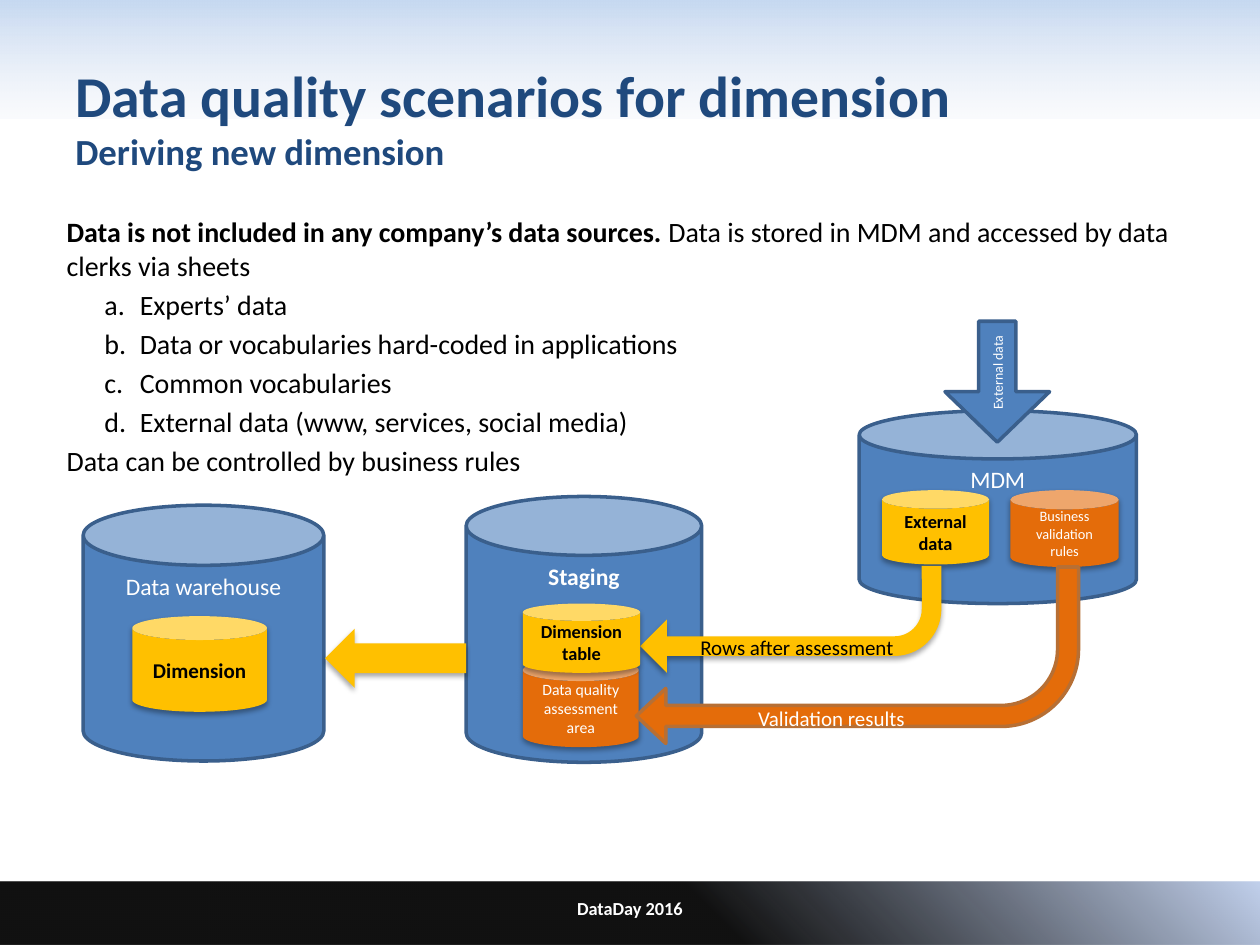
from lxml import etree
from pptx import Presentation
from pptx import util as u
from pptx.dml import color
from pptx.enum import shapes, text
from pptx.oxml import ns

Pt = u.Pt
KIND = shapes.MSO_SHAPE
MID = text.MSO_ANCHOR.MIDDLE
TOP = text.MSO_ANCHOR.TOP
LEFT = text.PP_ALIGN.LEFT
MAIN = text.PP_ALIGN.CENTER
BLUE, EDGE, GOLD, RUST = "4F81BD", "3A5F8C", "FFC000", "E46C0A"
NAVY, BLACK, WHITE = "1F497D", "000000", "FFFFFF"


def rgb(code):
    """Turn a hex string into a colour."""
    return color.RGBColor.from_string(code)


def put(item, **vals):
    """Set each given attribute on an item."""
    for name, val in vals.items():
        setattr(item, name, val)


def sub(node, tag, **vals):
    """Append an XML child that holds the given attributes."""
    child = etree.SubElement(node, ns.qn(tag))
    for name, val in vals.items():
        child.set(name, str(val))
    return child


def tint(node, code, alpha):
    """Append a colour with an opacity in percent."""
    sub(sub(node, "a:srgbClr", val=code), "a:alpha", val=alpha * 1000)


def run(para, words, size, code, bold=False):
    """Add one styled run to a paragraph."""
    part = para.add_run()
    part.text = words
    put(part.font, name="Calibri", size=Pt(size), bold=bold)
    part.font.color.rgb = rgb(code)


def say(shape, lines, size, code, bold=False, align=MAIN, anchor=MID):
    """Write lines of text in one style."""
    frame = shape.text_frame
    put(frame, word_wrap=True, vertical_anchor=anchor)
    for i, line in enumerate(lines):
        para = frame.paragraphs[0] if i == 0 else frame.add_paragraph()
        para.alignment = align
        run(para, line, size, code, bold)


def form(slide, kind, box, fill, edge=None, cast=False, adj=(), turn=0):
    """Add a preset shape with its fill, line and shadow."""
    shape = slide.shapes.add_shape(kind, *map(Pt, box))
    put(shape, rotation=turn)
    shape.shadow.inherit = False
    shape.fill.solid()
    shape.fill.fore_color.rgb = rgb(fill)
    if edge:
        shape.line.color.rgb = rgb(edge)
        shape.line.width = Pt(2)
    else:
        shape.line.fill.background()
    for i, val in enumerate(adj):
        shape.adjustments[i] = val
    if cast:
        glow = shape.element.spPr.find(ns.qn("a:effectLst"))
        drop = sub(glow, "a:outerShdw", blurRad=Pt(3.1), dist=Pt(1.8),
                   dir=5400000, rotWithShape=0)
        tint(drop, BLACK, 35)
    return shape


def note(slide, box, *args, **style):
    """Add a text box with lines in one style."""
    shape = slide.shapes.add_textbox(*map(Pt, box))
    say(shape, *args, **style)
    return shape


def band(slide, box, stops, angle):
    """Add a bar with a gradient fill."""
    shape = form(slide, KIND.RECTANGLE, box, WHITE)
    old = shape.element.spPr.find(ns.qn("a:solidFill"))
    grad = etree.Element(ns.qn("a:gradFill"), rotWithShape="1")
    row = sub(grad, "a:gsLst")
    for pos, code, alpha in stops:
        tint(sub(row, "a:gs", pos=pos * 1000), code, alpha)
    sub(grad, "a:lin", ang=angle * 60000, scaled=0)
    old.getparent().replace(old, grad)


def head(slide, x, y, w, h):
    """Place the top band and the title."""
    band(slide, (x, y, w, 68), [(0, "C6D9F1", 100), (100, "E1E8F5", 16)], 90)
    box = note(slide, (x + 36, y + 21.6, w - 72, h - 21.6),
               ["Data quality scenarios for dimension"], 33, NAVY,
               bold=True, align=LEFT)
    para = box.text_frame.paragraphs[0]
    para.add_line_break()
    run(para, "Deriving new dimension", 21, NAVY, True)


def foot(slide, x, y, w, h):
    """Place the bottom band and the event name."""
    band(slide, (x, y, w, h), [(56, BLACK, 93), (100, "C2D1ED", 100)], 315)
    note(slide, (x + 201, y, w - 402, 30), ["DataDay 2016"], 10.5, WHITE,
         bold=True)


def body(slide, x, y, w, h):
    """Place the explanation with its lettered list."""
    items = ["Experts’ data", "Data or vocabularies hard-coded in applications",
             "Common vocabularies",
             "External data (www, services, social media)"]
    lead = "Data is not included in any company’s data sources. "
    rest = "Data is stored in MDM and accessed by data clerks via sheets"
    box = note(slide, (x, y, w, h), [lead, *items,
               "Data can be controlled by business rules"], 16, BLACK,
               align=LEFT, anchor=TOP)
    paras = box.text_frame.paragraphs
    paras[0].runs[0].font.bold = True
    run(paras[0], rest, 16, BLACK)
    for para in paras:
        para.space_before = Pt(3.2)
    for para in paras[1:-1]:
        props = para._p.get_or_add_pPr()
        props.set("marL", str(Pt(41.8)))
        props.set("indent", str(Pt(-20.2)))
        sub(props, "a:buAutoNum", type="alphaLcPeriod")


def flow(slide, x, y):
    """Place the stores and the arrows between them."""
    def at(left, top, w, h):
        return x + left, y + top, w, h

    def store(box, name, bold=False):
        can = form(slide, KIND.CAN, at(*box), BLUE, EDGE)
        say(can, [name], 13.5, WHITE, bold, anchor=TOP)

    def part(box, lines, size, fill=GOLD):
        can = form(slide, KIND.CAN, at(*box), fill, cast=True)
        gold = fill == GOLD
        say(can, lines, size, BLACK if gold else WHITE, gold)

    store((218.9, 100.1, 134.6, 151.9), "Staging", True)
    store((0, 105.1, 137.5, 146.2), "Data warehouse")
    store((443.5, 51.1, 158.4, 110.2), "MDM")
    part((529.9, 96.5, 61.9, 43.9), ["Business validation rules"], 8.2, RUST)
    part((456.5, 96.5, 61.2, 42.5), ["External data"], 10.5)
    part((251.3, 193, 66.2, 50.4), ["Data quality", "assessment area"], 9, RUST)
    form(slide, KIND.BENT_ARROW, at(316.1, 140.4, 252.7, 100.8), RUST,
         "B76F34", adj=(0.119, 0.156, 0.167, 0.438), turn=180)
    form(slide, KIND.BENT_ARROW, at(318.3, 139.7, 172.1, 61.2), GOLD,
         cast=True, adj=(0.183, 0.25, 0.25, 0.438), turn=180)
    feed = form(slide, KIND.DOWN_ARROW, at(492.5, 0, 59.8, 69.1), BLUE, EDGE,
                adj=(0.357, 0.482))
    say(feed, ["External data"], 7.9, WHITE)
    feed.text_frame._txBody.bodyPr.set("vert", "vert270")
    part((251.3, 161.3, 67, 39.6), ["Dimension table"], 10.5)
    form(slide, KIND.LEFT_ARROW, at(138.3, 175.7, 80.6, 33.8), GOLD, cast=True)
    for box, name, code in [
            ((345.6, 175.7, 127.4, 21.6), "Rows after assessment", BLACK),
            ((378.7, 216, 128.2, 21.6), "Validation results", WHITE)]:
        note(slide, at(*box), [name], 12, code, align=LEFT, anchor=TOP)
    part((28.1, 168.5, 77, 54.7), ["Dimension"], 12)


def main():
    """Build and save the slide."""
    deck = Presentation()
    put(deck, slide_width=Pt(720), slide_height=Pt(540))
    slide = deck.slides.add_slide(deck.slide_layouts[6])
    head(slide, 0, 0, 720, 111.6)
    foot(slide, 0, 504, 720, 36)
    body(slide, 31, 119, 648, 267)
    flow(slide, 47.5, 183.6)
    deck.save("out.pptx")


if __name__ == "__main__":
    main()
